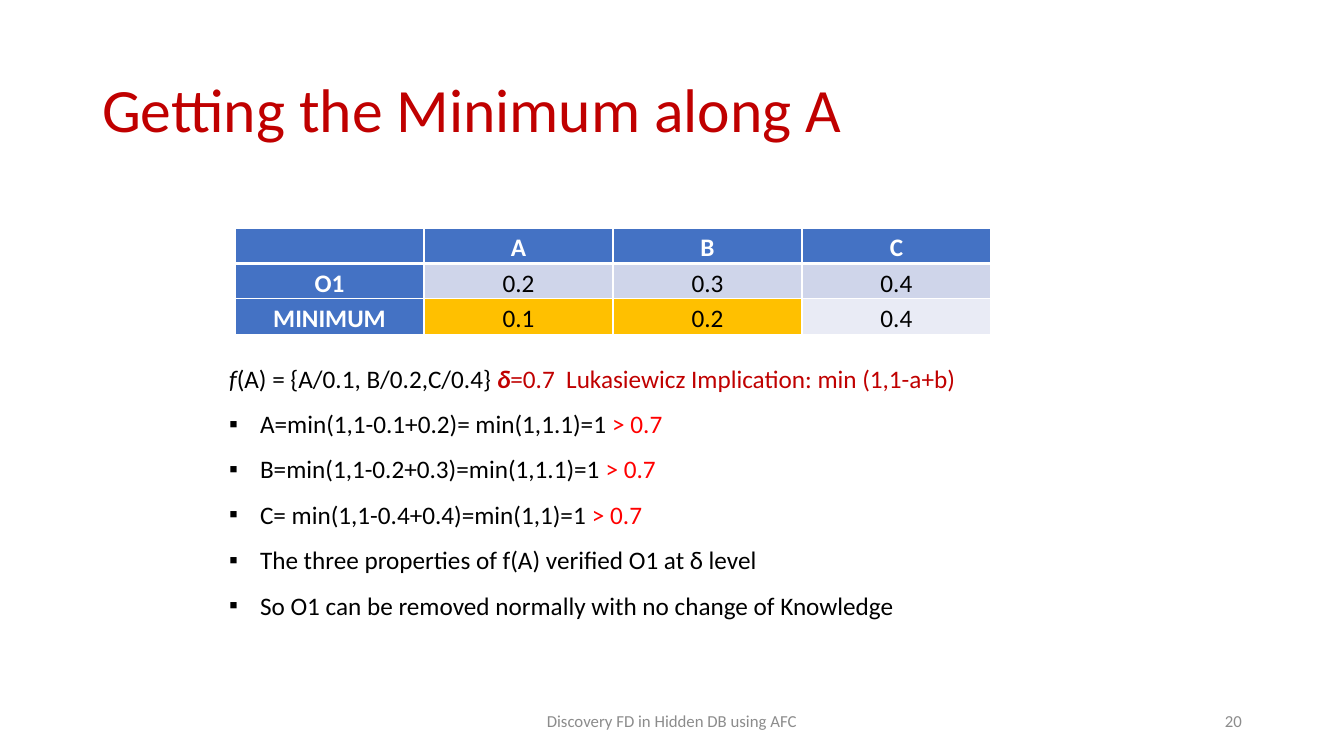
"""Build the slide on the minimum along A."""
import pptx
import pptx.dml.color
import pptx.enum.text
import pptx.oxml.ns
import pptx.util
from lxml import etree

RGBColor = pptx.dml.color.RGBColor
ALIGN = pptx.enum.text.PP_ALIGN
ANCHOR = pptx.enum.text.MSO_ANCHOR
qn = pptx.oxml.ns.qn

DARK_RED = RGBColor(0xC0, 0x00, 0x00)
RED = RGBColor(0xFF, 0x00, 0x00)
BLACK = RGBColor(0x00, 0x00, 0x00)
WHITE = RGBColor(0xFF, 0xFF, 0xFF)
GREY = RGBColor(0x8C, 0x8C, 0x8C)
BLUE = RGBColor(0x44, 0x72, 0xC4)
BAND_DARK = RGBColor(0xCF, 0xD5, 0xEA)
BAND_LIGHT = RGBColor(0xE9, 0xEB, 0xF5)
GOLD = RGBColor(0xFF, 0xC0, 0x00)

FONT = "Calibri"
EMU_PER_PIXEL = 914400 / 100.8

MEMBERSHIP = [["", "A", "B", "C"],
              ["O1", "0.2", "0.3", "0.4"],
              ["MINIMUM", "0.1", "0.2", "0.4"]]
ROW_FILLS = [[BLUE] * 4,
             [BLUE] + [BAND_DARK] * 3,
             [BLUE, GOLD, GOLD, BAND_LIGHT]]
FORMULA = [("f", BLACK, False, True),
           ("(A) = {A/0.1, B/0.2,C/0.4} ", BLACK, False, False),
           ("δ", DARK_RED, True, True),
           ("=0.7  Lukasiewicz Implication: min (1,1-a+b)", DARK_RED, False, False)]
STEPS = [("A=min(1,1-0.1+0.2)= min(1,1.1)=1 ", "> 0.7"),
         ("B=min(1,1-0.2+0.3)=min(1,1.1)=1 ", "> 0.7"),
         ("C= min(1,1-0.4+0.4)=min(1,1)=1 ", "> 0.7"),
         ("The three properties of f(A) verified O1 at δ level",),
         ("So O1 can be removed normally with no change of Knowledge",)]


def px(pixels):
    """Turn pixels into EMU."""
    return pptx.util.Emu(round(pixels * EMU_PER_PIXEL))


def style(run, size, color, bold=False, italic=False):
    """Format one run."""
    run.font.name = FONT
    run.font.size = pptx.util.Pt(size)
    run.font.bold = bold
    run.font.italic = italic
    run.font.color.rgb = color


def place(shape, box):
    """Move a shape to its box."""
    shape.left, shape.top, shape.width, shape.height = map(px, box)


def write_line(frame, text, size, color, align):
    """Fill a text frame with one vertically centred line."""
    frame.word_wrap = True
    frame.auto_size = pptx.enum.text.MSO_AUTO_SIZE.NONE
    frame.vertical_anchor = ANCHOR.MIDDLE
    frame.text = text
    frame.paragraphs[0].alignment = align
    style(frame.paragraphs[0].runs[0], size, color)


def add_title(slide, box):
    """Fill the title placeholder."""
    title = slide.shapes.title
    place(title, box)
    write_line(title.text_frame, "Getting the Minimum along A", 44, DARK_RED, ALIGN.LEFT)
    title.text_frame.paragraphs[0].line_spacing = 0.9


def draw_borders(cell, top, bottom):
    """Give a cell white borders, with top and bottom widths in points."""
    properties = cell._tc.get_or_add_tcPr()
    for side, width in (("L", 1), ("R", 1), ("T", top), ("B", bottom)):
        line = etree.SubElement(properties, qn(f"a:ln{side}"), w=str(pptx.util.Pt(width)))
        fill = etree.SubElement(line, qn("a:solidFill"))
        etree.SubElement(fill, qn("a:srgbClr"), val=str(WHITE))


def add_membership_table(slide, box):
    """Add the table of membership values."""
    row_count, column_count = len(MEMBERSHIP), len(MEMBERSHIP[0])
    table = slide.shapes.add_table(row_count, column_count, *map(px, box)).table
    for column in table.columns:
        column.width = px(box[2] / column_count)
    for row_index, row in enumerate(table.rows):
        row.height = px(box[3] / row_count)
        for column_index, cell in enumerate(row.cells):
            heading = row_index == 0 or column_index == 0
            cell.margin_left = cell.margin_right = px(7)
            cell.margin_top = cell.margin_bottom = 0
            draw_borders(cell, 3 if row_index == 1 else 1, 3 if row_index == 0 else 1)
            cell.fill.solid()
            cell.fill.fore_color.rgb = ROW_FILLS[row_index][column_index]
            cell.text = MEMBERSHIP[row_index][column_index]
            paragraph = cell.text_frame.paragraphs[0]
            paragraph.alignment = ALIGN.CENTER
            paragraph.line_spacing = 1.15
            for run in paragraph.runs:
                style(run, 18, WHITE if heading else BLACK, bold=heading)


def write_runs(paragraph, parts, indent, bullet=None):
    """Add styled runs to a body paragraph with a hanging indent."""
    paragraph.space_before = pptx.util.Pt(0)
    for text, *look in parts:
        run = paragraph.add_run()
        run.text = text
        style(run, 18, *look)
    properties = paragraph._p.get_or_add_pPr()
    properties.set("marL", str(px(indent)))
    properties.set("indent", str(px(-indent)))
    if bullet:
        etree.SubElement(properties, qn("a:buChar"), char=bullet)
    else:
        etree.SubElement(properties, qn("a:buNone"))


def add_derivation(slide, box):
    """Fill the body placeholder with the formula and its steps."""
    body = slide.placeholders[1]
    place(body, box)
    frame = body.text_frame
    frame.auto_size = pptx.enum.text.MSO_AUTO_SIZE.NONE
    frame.vertical_anchor = ANCHOR.TOP
    write_runs(frame.paragraphs[0], FORMULA, 0)
    for step in STEPS:
        paragraph = frame.add_paragraph()
        paragraph.line_spacing = 1.5
        write_runs(paragraph, list(zip(step, (BLACK, RED))), 31, "▪")


def add_footer(slide, box):
    """Add the footer in the middle and the slide number at the right of a band."""
    left, top, width, height = box
    number_width = 302
    footer_width = 454
    parts = [("Discovery FD in Hidden DB using AFC", left + (width - footer_width) / 2,
              footer_width, ALIGN.CENTER),
             ("20", left + width - number_width, number_width, ALIGN.RIGHT)]
    for text, part_left, part_width, align in parts:
        label = slide.shapes.add_textbox(px(part_left), px(top), px(part_width), px(height))
        write_line(label.text_frame, text, 12, GREY, align)


def main():
    """Build and save the presentation."""
    deck = pptx.Presentation()
    deck.slide_width, deck.slide_height = px(1344), px(756)
    slide = deck.slides.add_slide(deck.slide_layouts[1])
    add_title(slide, (92, 40, 1160, 146))
    add_membership_table(slide, (235, 228, 756, 106))
    add_derivation(slide, (219, 358, 903, 270))
    add_footer(slide, (92, 701, 1160, 40))
    deck.save("out.pptx")


main()
